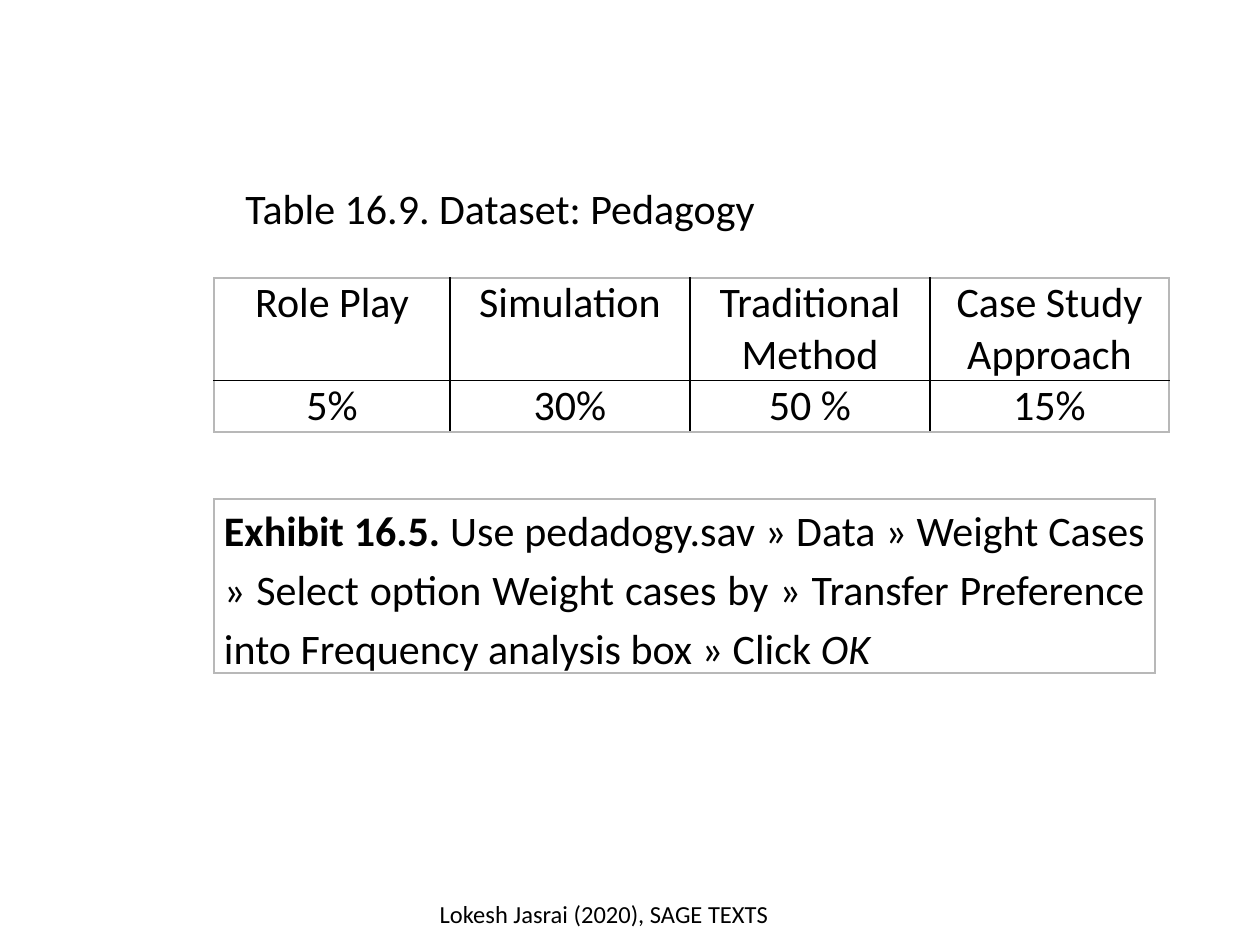
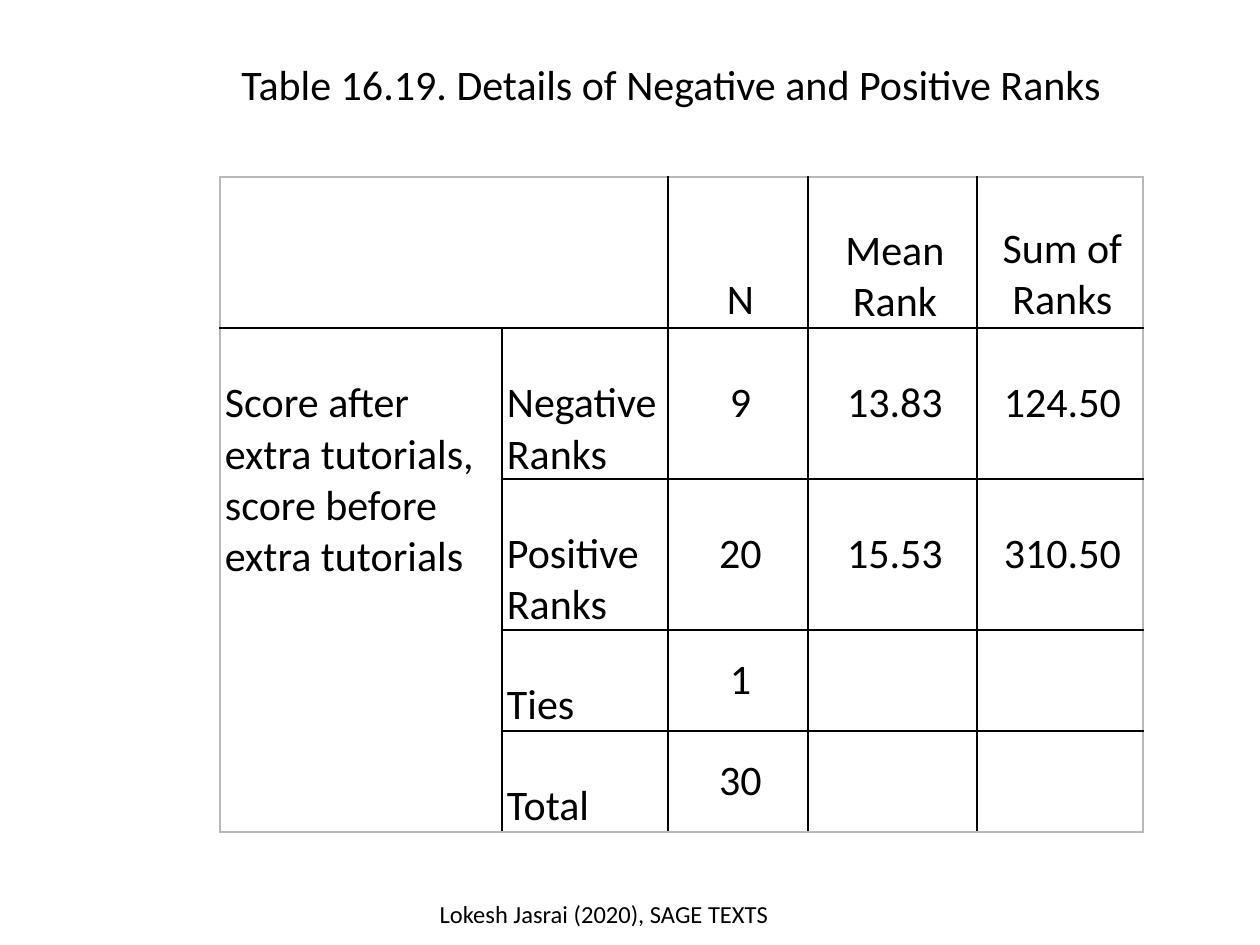
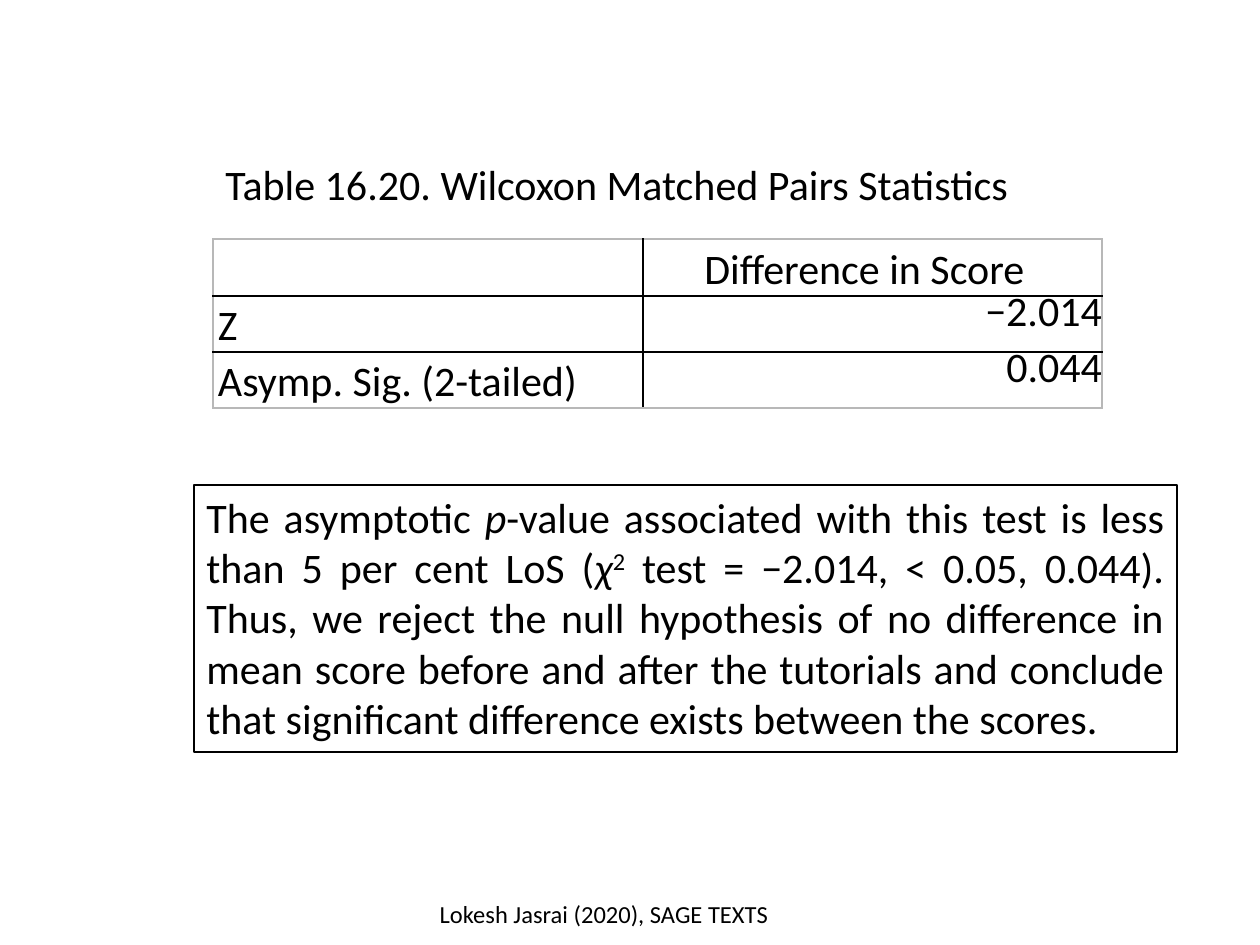
from typing import NamedTuple, Optional

from lxml import etree
from pptx import Presentation
from pptx import util as u
from pptx.dml import color
from pptx.enum import shapes, text
from pptx.oxml import ns

# Shared look
FONT, SIZE = "Calibri", 24
BLACK, GREY, WHITE = "000000", "B8B8B8", "FFFFFF"
FOOT = "Lokesh Jasrai (2020), SAGE TEXTS"
LINE = 50  # height of one text line in px
LEFT, MID, RIGHT, JUST = (text.PP_ALIGN.LEFT, text.PP_ALIGN.CENTER,
                          text.PP_ALIGN.RIGHT, text.PP_ALIGN.JUSTIFY)
TOP, CENTRE, LOW = (text.MSO_ANCHOR.TOP, text.MSO_ANCHOR.MIDDLE,
                    text.MSO_ANCHOR.BOTTOM)


class Box(NamedTuple):
    left: int
    top: int
    width: int
    height: int


class Run(NamedTuple):
    words: str
    form: dict = {}
    base: int = 0


class Cell(NamedTuple):
    paras: tuple = ()
    align: int = LEFT
    anchor: int = TOP
    pad: tuple = (5, 0, 0, 0)  # left, top, right, bottom
    space: Optional[object] = None


class Grid(NamedTuple):
    left: int
    top: int
    cols: tuple
    rows: tuple
    cells: tuple
    joins: tuple = ()


def px(num: int) -> int:
    return round(num * 914400 / 126)


def rgb(code: str) -> color.RGBColor:
    return color.RGBColor.from_string(code)


def apply(obj, form: dict) -> None:
    for name, val in form.items():
        setattr(obj, name, val)


def write(frame, paras, align=LEFT, size=SIZE, space=None) -> None:
    """Each paragraph is a plain string or a tuple of runs."""
    for num, runs in enumerate(paras):
        para = frame.add_paragraph() if num else frame.paragraphs[0]
        apply(para, {"alignment": align, "line_spacing": space})
        for part in (Run(runs),) if isinstance(runs, str) else runs:
            run = para.add_run()
            run.text = part.words
            apply(run.font, {"name": FONT, "size": u.Pt(size), **part.form})
            run.font.color.rgb = rgb(BLACK)
            if part.base:
                run.font._element.set("baseline", str(part.base * 1000))


# Text boxes
def label(slide, box: Box, words: str, align=LEFT, anchor=TOP,
          size=SIZE, wrap=True) -> None:
    frame = slide.shapes.add_textbox(*map(px, box)).text_frame
    apply(frame, {"word_wrap": wrap, "vertical_anchor": anchor})
    write(frame, (words,), align, size)


def title(slide, left: int, top: int, width: int, words: str) -> None:
    label(slide, Box(left, top, width, 63), words, anchor=CENTRE, wrap=False)


def panel(slide, box: Box, runs: tuple) -> None:
    shape = slide.shapes.add_shape(shapes.MSO_SHAPE.RECTANGLE, *map(px, box))
    shape.shadow.inherit = False
    shape.fill.background()
    shape.line.color.rgb = rgb(BLACK)
    shape.line.width = u.Pt(0.75)
    apply(shape.text_frame, {"word_wrap": True, "vertical_anchor": TOP})
    write(shape.text_frame, (runs,), JUST)


# Tables: black lines inside, a grey line around
def edge(cell, side: str, code: str) -> None:
    props = cell._tc.get_or_add_tcPr()
    line = etree.SubElement(props, ns.qn(f"a:ln{side}"), w=str(u.Pt(1)))
    fill = etree.SubElement(line, ns.qn("a:solidFill"))
    etree.SubElement(fill, ns.qn("a:srgbClr"), val=code)


def frame(cell, row: int, col: int, grid: Grid) -> None:
    last = row + cell.span_height if cell.is_merge_origin else row + 1
    end = col + cell.span_width if cell.is_merge_origin else col + 1
    outer = {"L": col == 0, "R": end == len(grid.cols),
             "T": row == 0, "B": last == len(grid.rows)}
    for side, out in outer.items():
        if out or not cell.is_spanned:
            edge(cell, side, GREY if out else BLACK)


def table(slide, grid: Grid) -> None:
    box = Box(grid.left, grid.top, sum(grid.cols), sum(grid.rows))
    tab = slide.shapes.add_table(len(grid.rows), len(grid.cols),
                                 *map(px, box)).table
    apply(tab, {"first_row": False, "horz_banding": False})
    for col, wide in zip(tab.columns, grid.cols):
        col.width = px(wide)
    for row, high in zip(tab.rows, grid.rows):
        row.height = px(high)
    for start, stop in grid.joins:
        tab.cell(*start).merge(tab.cell(*stop))
    for row, line in enumerate(grid.cells):
        for col, item in enumerate(line):
            cell = tab.cell(row, col)
            frame(cell, row, col, grid)
            cell.fill.solid()
            cell.fill.fore_color.rgb = rgb(WHITE)
            if item.paras:
                sides = ("left", "top", "right", "bottom")
                apply(cell, {f"margin_{side}": px(gap)
                             for side, gap in zip(sides, item.pad)})
                cell.vertical_anchor = item.anchor
                write(cell.text_frame, item.paras, item.align,
                      space=item.space)


# Kinds of cell
EMPTY = Cell()


def mid(words: str) -> Cell:
    return Cell((words,), MID, pad=(10, 0, 10, 0))


def head(words: str, gap: int = 2) -> Cell:
    return Cell((words,), MID, LOW, (5, 0, 0, gap))


def name(*paras: str) -> Cell:
    return Cell(paras, pad=(5, LINE, 0, 0))


def value(words: str) -> Cell:
    return Cell((words,), MID, CENTRE) if words else EMPTY


def tight(words: str, align=LEFT, anchor=TOP, pad=(5, 0, 0, 0)) -> Cell:
    return Cell((words,), align, anchor, pad, u.Pt(16))


# Slides
def pedagogy(slide) -> None:
    heads = ("Role Play", "Simulation", "Traditional Method",
             "Case Study Approach")
    shares = ("5%", "30%", "50 %", "15%")
    cells = tuple(tuple(map(mid, line)) for line in (heads, shares))
    table(slide, Grid(214, 278, (236, 240, 240, 239), (101, 51), cells))
    title(slide, 233, 176, 539, "Table 16.9. Dataset: Pedagogy")
    steps = (Run("Exhibit 16.5. ", {"bold": True}),
             Run("Use pedadogy.sav » Data » Weight Cases » Select option "
                 "Weight cases by » Transfer Preference into Frequency "
                 "analysis box » Click "),
             Run("OK", {"italic": True}))
    cell = Cell((steps,), JUST, pad=(10, 0, 10, 0), space=1.15)
    table(slide, Grid(214, 499, (941,), (173,), ((cell,),)))


def ranks(slide) -> None:
    pair = name("Score after extra tutorials, score before extra tutorials")
    data = ((("Negative", "Ranks"), ("9", "13.83", "124.50")),
            (("Positive Ranks",), ("20", "15.53", "310.50")),
            (("Ties",), ("1", "", "")),
            (("Total",), ("30", "", "")))
    cells = [(EMPTY, EMPTY, head("N"), head("Mean Rank", 0),
              head("Sum of Ranks"))]
    for num, (words, vals) in enumerate(data):
        cells.append((EMPTY if num else pair, name(*words),
                      *map(value, vals)))
    table(slide, Grid(220, 177, (282, 166, 140, 169, 166),
                      (151, 151, 151, 101, 101), tuple(cells),
                      (((0, 0), (0, 1)), ((1, 0), (4, 0)))))
    title(slide, 229, 52, 902,
          "Table 16.19. Details of Negative and Positive Ranks")


def pairs(slide) -> None:
    cells = [(EMPTY, tight("Difference in Score", MID, LOW, (5, 0, 21, 0)))]
    for words, val in (("Z", "−2.014"), ("Asymp. Sig. (2-tailed)", "0.044")):
        cells.append((tight(words, pad=(5, 28, 0, 0)),
                      tight(val, RIGHT, CENTRE)))
    table(slide, Grid(213, 239, (430, 459), (57, 56, 56), tuple(cells)))
    title(slide, 213, 152, 815,
          "Table 16.20. Wilcoxon Matched Pairs Statistics")
    slant = {"italic": True}
    panel(slide, Box(194, 485, 983, 267), (
        Run("The asymptotic "), Run("p", slant),
        Run("-value associated with this test is less than 5 per cent LoS ("),
        Run("χ", slant), Run("2", base=30),
        Run(" test = −2.014, < 0.05, 0.044). Thus, we reject the null "
            "hypothesis of no difference in mean score before and after the "
            "tutorials and conclude that significant difference exists "
            "between the scores.")))


def main() -> None:
    deck = Presentation()
    apply(deck, {"slide_width": px(1260), "slide_height": px(945)})
    for draw in (pedagogy, ranks, pairs):
        slide = deck.slides.add_slide(deck.slide_layouts[6])
        draw(slide)
        label(slide, Box(379, 893, 450, 50), FOOT, MID, size=14)
    deck.save("out.pptx")


if __name__ == "__main__":
    main()
